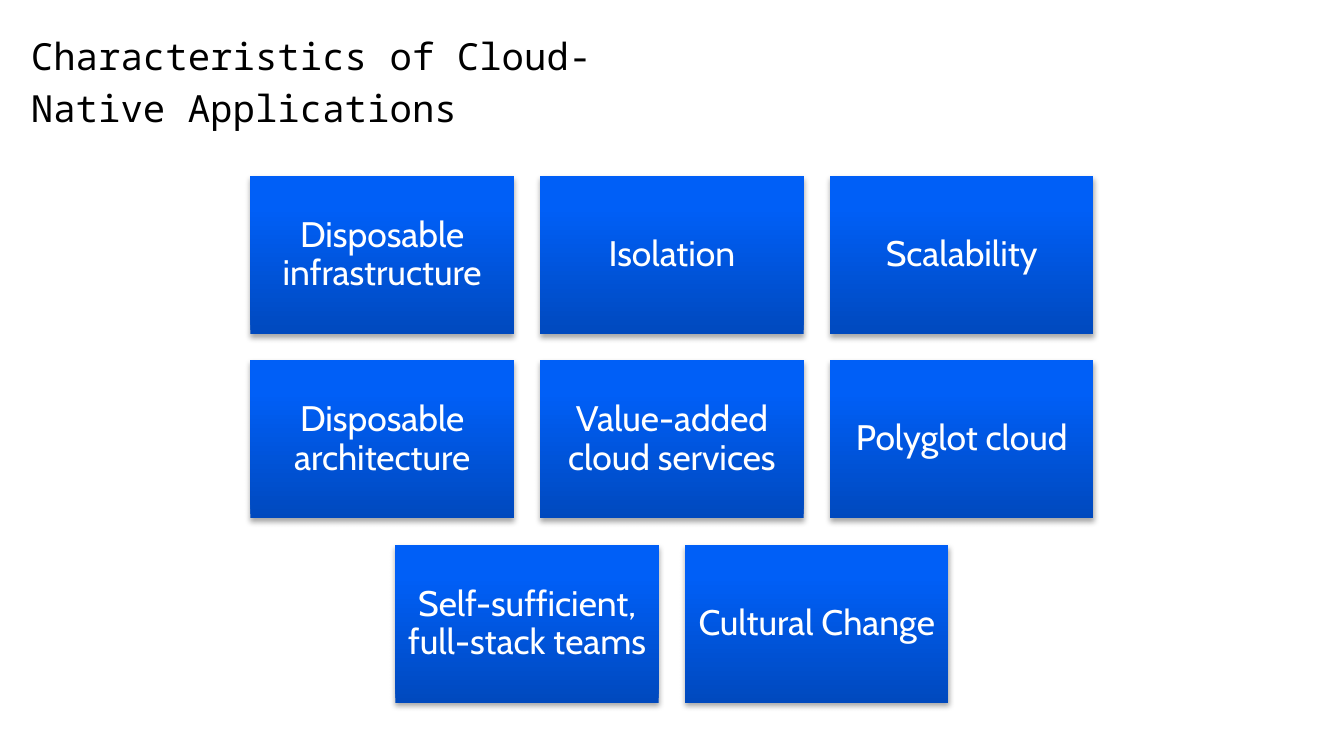
import copy

import pptx
import pptx.dml.color
import pptx.enum.shapes
import pptx.enum.text
import pptx.oxml
import pptx.oxml.ns
import pptx.util

Inches = pptx.util.Inches
Pt = pptx.util.Pt
Align = pptx.enum.text.PP_ALIGN
Anchor = pptx.enum.text.MSO_ANCHOR

COLORS = {"title": "000000", "label": "FFFFFF", "dark": "0049BE",
          "mid": "005FF7", "light": "005FF8", "shade": "000000"}
STOPS = [(0, "dark"), (0.8, "mid"), (1, "light")]
ROWS = [
    ["Disposable infrastructure", "Isolation", "Scalability"],
    ["Disposable architecture", "Value-added cloud services", "Polyglot cloud"],
    ["Self-sufficient, full-stack teams", "Cultural Change"],
]


def color(name):
    return pptx.dml.color.RGBColor.from_string(COLORS[name])


def write(frame, text, font, size, ink, align=Align.LEFT, anchor=Anchor.TOP,
          inset=0, spacing=1.0):
    frame.word_wrap = True
    frame.vertical_anchor = anchor
    frame.margin_left = frame.margin_right = Inches(inset)
    frame.margin_top = frame.margin_bottom = Inches(inset)
    para = frame.paragraphs[0]
    para.alignment = align
    para.line_spacing = spacing
    run = para.add_run()
    run.text = text
    run.font.name = font
    run.font.size = Pt(size)
    run.font.color.rgb = color(ink)


class Deck:
    """Hold the style and the current slide."""

    head = "Noto Sans Mono"
    body = "Cabin"

    def __init__(self, slide):
        self.slide = slide

    def title(self, text, left, top, width, height):
        box = self.slide.shapes.add_textbox(
            Inches(left), Inches(top), Inches(width), Inches(height))
        write(box.text_frame, text, self.head, 20, "title", spacing=Pt(28))

    def card(self, text, left, top, width, height):
        card = self.slide.shapes.add_shape(
            pptx.enum.shapes.MSO_SHAPE.RECTANGLE,
            Inches(left), Inches(top), Inches(width), Inches(height))
        card.line.fill.background()
        self.blend(card)
        self.shade(card)
        write(card.text_frame, text, self.body, 19, "label", Align.CENTER,
              Anchor.MIDDLE, inset=0.08, spacing=0.9)

    def blend(self, shape):
        shape.fill.gradient()
        shape.fill.gradient_angle = 90
        stops = shape._element.spPr.find(".//" + pptx.oxml.ns.qn("a:gsLst"))
        stops.append(copy.deepcopy(stops[0]))
        for stop, (place, name) in zip(shape.fill.gradient_stops, STOPS):
            stop.position = place
            stop.color.rgb = color(name)

    def shade(self, shape):
        shape.shadow.inherit = False
        effects = shape._element.spPr.find(pptx.oxml.ns.qn("a:effectLst"))
        effects.append(pptx.oxml.parse_xml(
            f'<a:outerShdw {pptx.oxml.ns.nsdecls("a")} blurRad="{Pt(3.1)}" '
            f'dist="{Pt(1.8)}" dir="5400000" rotWithShape="0">'
            f'<a:srgbClr val="{COLORS["shade"]}"><a:alpha val="35000"/>'
            '</a:srgbClr></a:outerShdw>'))


def main():
    show = pptx.Presentation()
    show.slide_width = Inches(10)
    show.slide_height = Inches(10 * 9 / 16)
    deck = Deck(show.slides.add_slide(show.slide_layouts[6]))
    deck.title("Characteristics of Cloud-Native Applications",
               0.23, 0.19, 4.53, 0.88)

    width, center, top = 1.96, 5, 1.31
    height, gap = 0.6 * width, 0.1 * width
    for row, labels in enumerate(ROWS):
        span = len(labels) * (width + gap) - gap
        for col, label in enumerate(labels):
            deck.card(label, center - span / 2 + col * (width + gap),
                      top + row * (height + gap), width, height)
    show.save("out.pptx")


if __name__ == "__main__":
    main()
